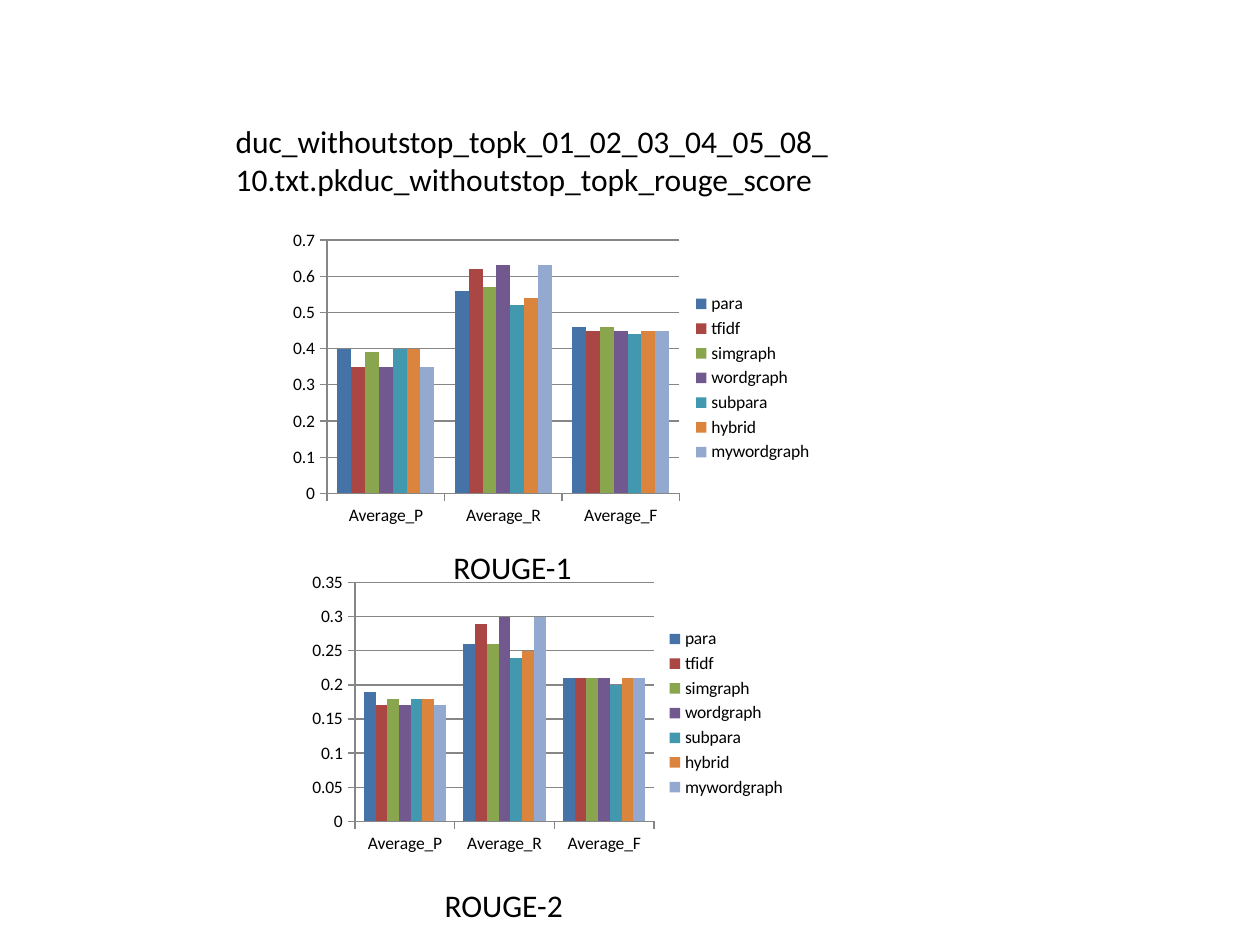
from pptx import Presentation
from pptx.chart.data import CategoryChartData
from pptx.dml.color import RGBColor
from pptx.enum.chart import XL_CHART_TYPE, XL_LEGEND_POSITION, XL_TICK_MARK
from pptx.enum.text import MSO_ANCHOR, MSO_AUTO_SIZE, PP_ALIGN
from pptx.util import Inches, Pt

CLUSTERED = XL_CHART_TYPE.COLUMN_CLUSTERED
LEGEND_RIGHT = XL_LEGEND_POSITION.RIGHT
TICK_OUT = XL_TICK_MARK.OUTSIDE
TICK_NONE = XL_TICK_MARK.NONE
TOP = MSO_ANCHOR.TOP
LEFT = PP_ALIGN.LEFT
FIXED_SIZE = MSO_AUTO_SIZE.NONE
GROW = MSO_AUTO_SIZE.SHAPE_TO_FIT_TEXT

COLORS = {
    "text": "000000",
    "line": "868686",
    "para": "4572A7",
    "tfidf": "AA4643",
    "simgraph": "89A54E",
    "wordgraph": "71588F",
    "subpara": "4198AF",
    "hybrid": "DB843D",
    "mywordgraph": "93A9CF",
}
METHODS = ["para", "tfidf", "simgraph", "wordgraph", "subpara", "hybrid", "mywordgraph"]
MEASURES = {
    "ROUGE-1": {
        "Average_P": [0.4, 0.35, 0.39, 0.35, 0.4, 0.4, 0.35],
        "Average_R": [0.56, 0.62, 0.57, 0.63, 0.52, 0.54, 0.63],
        "Average_F": [0.46, 0.45, 0.46, 0.45, 0.44, 0.45, 0.45],
    },
    "ROUGE-2": {
        "Average_P": [0.19, 0.17, 0.18, 0.17, 0.18, 0.18, 0.17],
        "Average_R": [0.26, 0.29, 0.26, 0.3, 0.24, 0.25, 0.3],
        "Average_F": [0.21, 0.21, 0.21, 0.21, 0.2, 0.21, 0.21],
    },
}


class ScoreSlide:
    font = "Calibri"
    text_size = 18
    chart_size = 10
    columns = 100
    rows = 75

    def __init__(self, deck):
        self.deck = deck
        self.page = deck.slides.add_slide(deck.slide_layouts[5])

    def area(self, column, row, width, height):
        unit_x = self.deck.slide_width / self.columns
        unit_y = self.deck.slide_height / self.rows
        return [round(n) for n in (column * unit_x, row * unit_y, width * unit_x, height * unit_y)]

    def color(self, name):
        return RGBColor.from_string(COLORS[name])

    def style(self, font, size):
        font.name = self.font
        font.size = Pt(size)
        font.color.rgb = self.color("text")

    def add_text(self, frame, text):
        para = frame.paragraphs[0]
        para.alignment = LEFT
        span = para.add_run()
        span.text = text
        self.style(span.font, self.text_size)

    def title(self, text, *place):
        box = self.page.shapes.title
        box.left, box.top, box.width, box.height = self.area(*place)
        frame = box.text_frame
        frame.word_wrap = True
        frame.auto_size = FIXED_SIZE
        frame.vertical_anchor = TOP
        self.add_text(frame, text)

    def caption(self, text, *place):
        box = self.page.shapes.add_textbox(*self.area(*place))
        frame = box.text_frame
        frame.word_wrap = False
        frame.auto_size = GROW
        self.add_text(frame, text)

    def chart(self, scores, top_value, step, *place):
        data = CategoryChartData(number_format="General")
        data.categories = list(scores)
        for name, values in zip(METHODS, zip(*scores.values())):
            data.add_series(name, values)
        chart = self.page.shapes.add_chart(CLUSTERED, *self.area(*place), data).chart
        self.style(chart.font, self.chart_size)
        chart.has_title = False
        chart.has_legend = True
        chart.legend.position = LEGEND_RIGHT
        chart.legend.include_in_layout = False

        plot = chart.plots[0]
        plot.gap_width = 150
        plot.overlap = 0
        plot.vary_by_categories = False
        for series in plot.series:
            series.format.fill.solid()
            series.format.fill.fore_color.rgb = self.color(series.name)

        scale = chart.value_axis
        scale.minimum_scale = 0
        scale.maximum_scale = top_value
        scale.major_unit = step
        scale.has_major_gridlines = True
        for axis in (chart.category_axis, scale):
            axis.major_tick_mark = TICK_OUT
            axis.minor_tick_mark = TICK_NONE
        for part in (chart.category_axis, scale, scale.major_gridlines):
            part.format.line.color.rgb = self.color("line")
            part.format.line.width = Pt(0.75)


def main():
    deck = Presentation()
    deck.slide_width = Inches(10)
    deck.slide_height = Inches(7.5)
    slide = ScoreSlide(deck)
    slide.chart(MEASURES["ROUGE-1"], 0.7, 0.1, 22.4, 17.8, 43.1, 24.4)
    slide.chart(MEASURES["ROUGE-2"], 0.35, 0.05, 24, 45, 39.4, 23.2)
    slide.caption("ROUGE-1", 35, 43, 11.5, 4)
    slide.caption("ROUGE-2", 34.3, 69.8, 11.5, 4)
    slide.title(
        "duc_withoutstop_topk_01_02_03_04_05_08_10.txt.pkduc_withoutstop_topk_rouge_score",
        17.7, 9.2, 50, 7.1,
    )
    deck.save("out.pptx")


if __name__ == "__main__":
    main()
